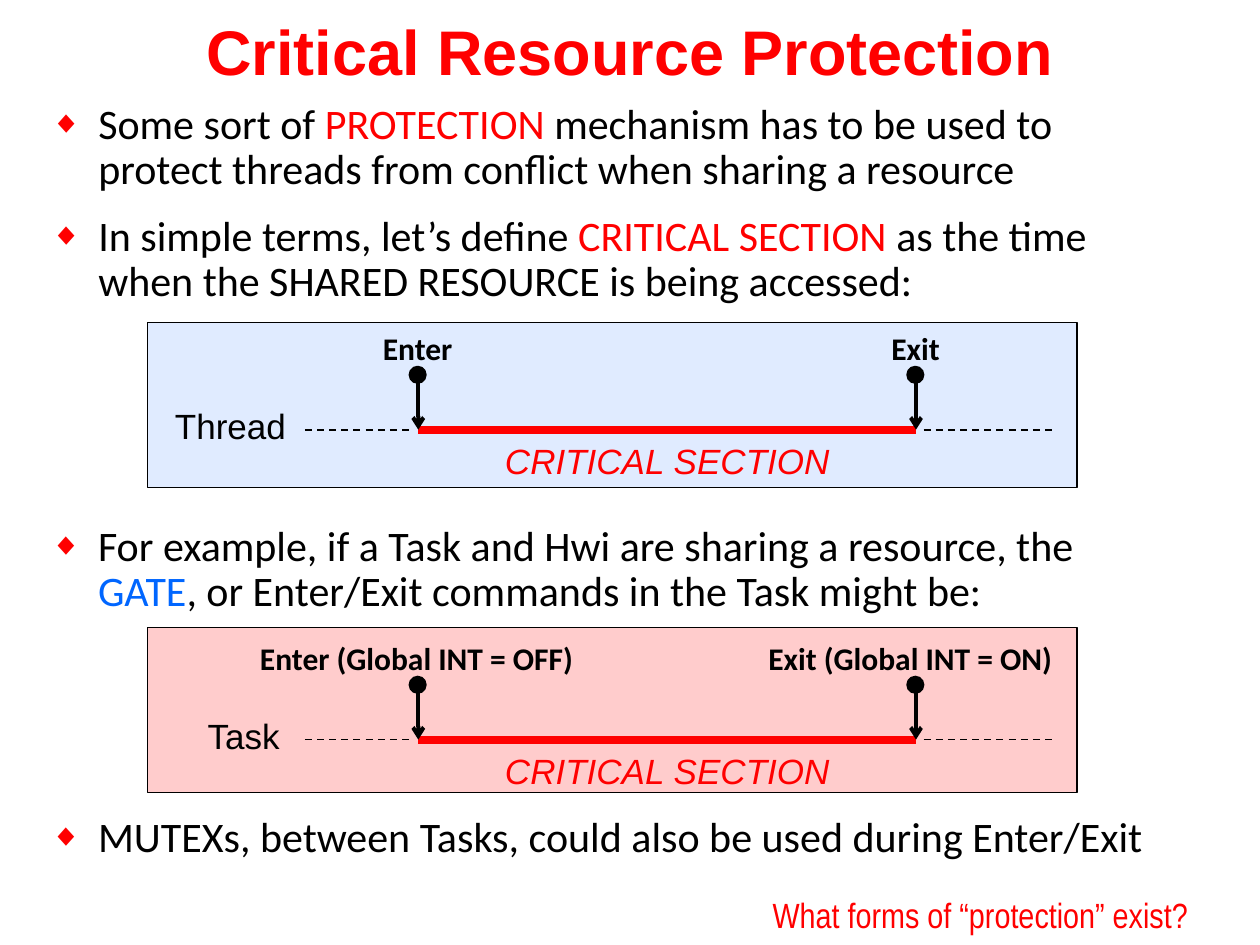
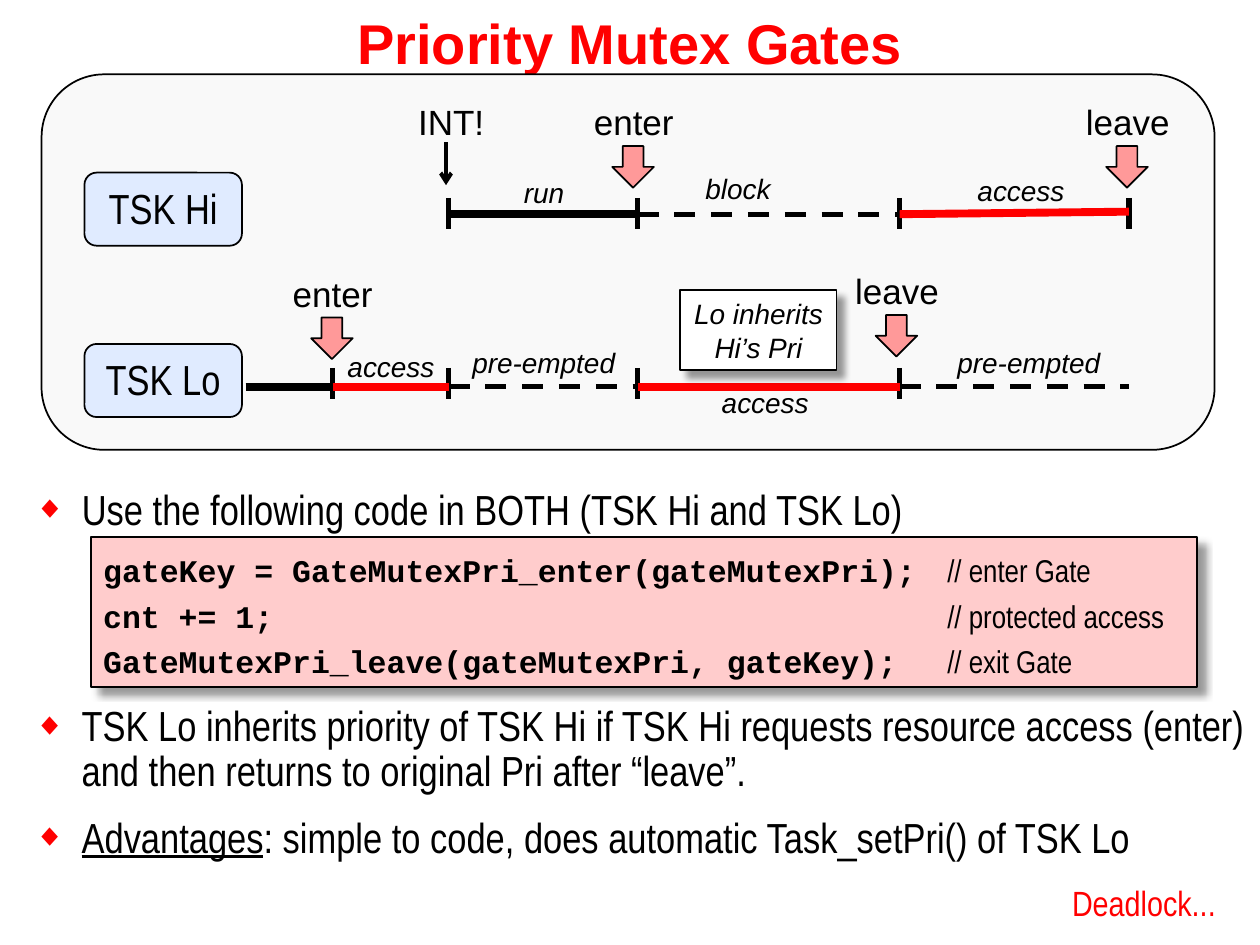
from typing import NamedTuple

from lxml.etree import SubElement
from pptx import Presentation
from pptx.dml.color import RGBColor
from pptx.enum.dml import MSO_LINE
from pptx.enum.shapes import MSO_CONNECTOR, MSO_SHAPE
from pptx.enum.text import MSO_ANCHOR, MSO_AUTO_SIZE as AutoSize, PP_ALIGN
from pptx.oxml.ns import qn
from pptx.util import Inches, Pt

BLACK = RGBColor(0x00, 0x00, 0x00)
WHITE = RGBColor(0xFF, 0xFF, 0xFF)
RED = RGBColor(0xFF, 0x00, 0x00)
BLUE = RGBColor(0x00, 0x66, 0xFF)
PALE_BLUE = RGBColor(0xE0, 0xEB, 0xFF)
PALE_RED = RGBColor(0xFF, 0xCC, 0xCC)
PINK = RGBColor(0xFF, 0x99, 0x99)
PALE_GREY = RGBColor(0xF9, 0xF9, 0xF9)

SANS, NARROW, HUMANIST, MONO = "Arial", "Arial Narrow", "Calibri", "Courier New"


class Box(NamedTuple):
    left: float
    top: float
    width: float
    height: float


class Span(NamedTuple):
    text: str
    color: RGBColor = BLACK
    underline: bool = False


class Style(NamedTuple):
    font: str
    size: int
    color: RGBColor = BLACK
    bold: bool = False
    italic: bool = False


class SectionPanel(NamedTuple):
    top: float
    axis: float
    fill: RGBColor
    actor: str
    actor_left: float
    actor_width: float
    enter: str
    enter_width: float
    exit: str
    exit_width: float


class Segment(NamedTuple):
    start: float
    end: float
    y: float
    color: RGBColor = BLACK
    dashed: bool = False
    rise: float = 0


class Caption(NamedTuple):
    text: str
    left: float
    top: float
    width: float


class Gate(NamedTuple):
    text: str
    center: float
    top: float


PLAIN = Style(SANS, 20)
SECTION = Style(SANS, 20, RED, italic=True)
EVENT = Style(HUMANIST, 18, bold=True)
NOTE = Style(SANS, 16, italic=True)
TASK = Style(NARROW, 24)
FOOTER = Style(NARROW, 20, RED)
CODE = Style(MONO, 18, bold=True)

ENTER_X, EXIT_X = 3.32, 7.27
PANELS = [
    SectionPanel(2.56, 3.41, PALE_BLUE, "Thread", 1.29, 1.09, "Enter", 0.76, "Exit", 0.59),
    SectionPanel(4.98, 5.87, PALE_RED, "Task", 1.55, 0.78,
                 "Enter (Global INT = OFF)", 2.71, "Exit (Global INT = ON)", 2.54),
]

LO_START, LO_ENTER, PREEMPT, HI_ENTER, LO_LEAVE, HI_LEAVE = 1.95, 2.64, 3.56, 5.06, 7.14, 8.96
HI_Y, LO_Y = 1.7, 3.07
SEGMENTS = [
    Segment(PREEMPT, HI_ENTER, HI_Y),
    Segment(HI_ENTER, LO_LEAVE, HI_Y, dashed=True),
    Segment(LO_LEAVE, HI_LEAVE, HI_Y, RED, rise=0.02),
    Segment(LO_START, PREEMPT, LO_Y),
    Segment(LO_ENTER, PREEMPT, LO_Y, RED),
    Segment(PREEMPT, HI_ENTER, LO_Y, dashed=True),
    Segment(HI_ENTER, LO_LEAVE, LO_Y, RED),
    Segment(LO_LEAVE, HI_LEAVE, LO_Y, dashed=True),
]
TICKS = {
    HI_Y - 0.13: [PREEMPT, HI_ENTER, LO_LEAVE, HI_LEAVE],
    LO_Y - 0.15: [LO_ENTER, PREEMPT, HI_ENTER, LO_LEAVE],
}
GATES = [
    Gate("enter", 5.03, 0.75),
    Gate("leave", 8.95, 0.75),
    Gate("enter", 2.64, 2.11),
    Gate("leave", 7.12, 2.09),
]
CAPTIONS = [
    Caption("run", 4.06, 1.34, 0.53),
    Caption("block", 5.5, 1.31, 0.72),
    Caption("access", 7.66, 1.33, 0.9),
    Caption("access", 2.66, 2.72, 0.9),
    Caption("pre-empted", 3.65, 2.69, 1.35),
    Caption("access", 5.63, 3.01, 0.9),
    Caption("pre-empted", 7.5, 2.69, 1.35),
]
CODE_LINES = [
    ("gateKey = GateMutexPri_enter(gateMutexPri);", "// enter Gate"),
    ("cnt += 1;", "// protected access"),
    ("GateMutexPri_leave(gateMutexPri, gateKey);", "// exit Gate"),
]


def set_font(font, style: Style) -> None:
    font.name, font.size = style.font, Pt(style.size)
    font.bold, font.italic = style.bold, style.italic
    font.color.rgb = style.color


def place(s, box: Box) -> None:
    s.left, s.top, s.width, s.height = (Inches(v) for v in box)


def write(s, lines: list[str], style: Style, align=PP_ALIGN.LEFT, spacing: float = 1.0):
    tf = s.text_frame
    tf.vertical_anchor = MSO_ANCHOR.MIDDLE
    for i, line in enumerate(lines):
        p = tf.add_paragraph() if i else tf.paragraphs[0]
        p.text, p.alignment, p.line_spacing = line, align, spacing
        set_font(p.font, style)
    return tf


def add_textbox(slide, box: Box):
    s = slide.shapes.add_textbox(*(Inches(v) for v in box))
    s.text_frame.auto_size = AutoSize.SHAPE_TO_FIT_TEXT
    s.text_frame.word_wrap = False
    return s


def label(slide, text: str, left: float, top: float, width: float, style: Style,
          align=PP_ALIGN.LEFT) -> None:
    height = 0.1 + style.size / 60
    write(add_textbox(slide, Box(left, top, width, height)), [text], style, align)


def add_shape(slide, kind, box: Box, fill: RGBColor, shadow: bool = False):
    s = slide.shapes.add_shape(kind, *(Inches(v) for v in box))
    s.shadow.inherit = False
    s.fill.solid()
    s.fill.fore_color.rgb = fill
    s.line.color.rgb, s.line.width = BLACK, Pt(1)
    if shadow:
        effects = s._element.spPr.find(qn("a:effectLst"))
        outer = SubElement(effects, qn("a:outerShdw"), blurRad=str(Pt(4)), dist=str(Pt(6)),
                           dir="2700000", algn="tl", rotWithShape="0")
        color = SubElement(outer, qn("a:srgbClr"), val=str(BLACK))
        SubElement(color, qn("a:alpha"), val="40000")
    return s


def add_line(slide, x1: float, y1: float, x2: float, y2: float, width: float,
             color: RGBColor = BLACK, dashed: bool = False, arrow: bool = False) -> None:
    s = slide.shapes.add_connector(MSO_CONNECTOR.STRAIGHT, *(Inches(v) for v in (x1, y1, x2, y2)))
    s.line.color.rgb, s.line.width = color, Pt(width)
    if dashed:
        s.line.dash_style = MSO_LINE.DASH
    sp = s._element.spPr
    if arrow:
        SubElement(sp.find(qn("a:ln")), qn("a:tailEnd"), type="arrow")
    SubElement(sp, qn("a:effectLst"))


def bullet_list(s, items: list[list[Span]], font: str, spacing: float = 0.9,
                wrap: bool = False, anchor=MSO_ANCHOR.TOP) -> None:
    """Fill a placeholder or text box with red-diamond bullets."""
    tf = s.text_frame
    tf.word_wrap, tf.auto_size, tf.vertical_anchor = wrap, AutoSize.SHAPE_TO_FIT_TEXT, anchor
    for i, spans in enumerate(items):
        p = tf.add_paragraph() if i else tf.paragraphs[0]
        pr = p._p.get_or_add_pPr()
        pr.set("marL", str(Inches(0.38)))
        pr.set("indent", str(-Inches(0.38)))
        SubElement(SubElement(pr, qn("a:buClr")), qn("a:srgbClr"), val=str(RED))
        SubElement(pr, qn("a:buSzPct"), val="75000")
        SubElement(pr, qn("a:buFont"), typeface=SANS)
        SubElement(pr, qn("a:buChar"), char="◆")
        p.line_spacing, p.space_before = spacing, Pt(12 if i else 0)
        p.font.name, p.font.size = font, Pt(24)
        for span in spans:
            for n, part in enumerate(span.text.split("\n")):
                if n:
                    p.add_line_break()
                if part:
                    r = p.add_run()
                    r.text, r.font.color.rgb = part, span.color
                    if span.underline:
                        r.font.underline = True


def start_slide(prs, title: str, top: float, size: int, body: Box, footer: str, footer_box: Box):
    """Add a slide with title and footer; return it with its placed body."""
    slide = prs.slides.add_slide(prs.slide_layouts[1])
    s = slide.shapes.title
    place(s, Box(0, top, 10, 0.81))
    tf = write(s, [title], Style(SANS, size, RED, bold=True), PP_ALIGN.CENTER)
    tf.word_wrap, tf.vertical_anchor, tf.margin_top = False, MSO_ANCHOR.TOP, Inches(0.1)
    place(slide.placeholders[1], body)
    tf = write(add_textbox(slide, footer_box), [footer], FOOTER, PP_ALIGN.RIGHT, 0.8)
    tf.margin_left = tf.margin_right = tf.margin_top = tf.margin_bottom = 0
    tf.vertical_anchor = MSO_ANCHOR.BOTTOM
    return slide, slide.placeholders[1]


def section_panel(slide, panel: SectionPanel) -> None:
    y = panel.axis
    add_shape(slide, MSO_SHAPE.RECTANGLE, Box(1.17, panel.top, 7.38, 1.31), panel.fill)
    add_line(slide, 2.42, y, 3.25, y, 1, dashed=True)
    add_line(slide, ENTER_X, y, EXIT_X, y, 4.5, RED)
    add_line(slide, 7.33, y, 8.37, y, 1, dashed=True)
    label(slide, panel.actor, panel.actor_left, y - 0.25, panel.actor_width, PLAIN)
    label(slide, "CRITICAL SECTION", 3.91, y + 0.03, 2.83, SECTION)
    for x, text, width in ((ENTER_X, panel.enter, panel.enter_width),
                           (EXIT_X, panel.exit, panel.exit_width)):
        add_shape(slide, MSO_SHAPE.OVAL, Box(x - 0.07, y - 0.5, 0.13, 0.13), BLACK)
        add_line(slide, x, y - 0.48, x, y, 2.25, arrow=True)
        label(slide, text, x - width / 2, y - 0.85, width, EVENT)


def timeline(slide) -> None:
    add_shape(slide, MSO_SHAPE.ROUNDED_RECTANGLE, Box(0.33, 0.59, 9.31, 2.98), PALE_GREY)
    for name, top in (("TSK Hi", 1.37), ("TSK Lo", 2.73)):
        s = add_shape(slide, MSO_SHAPE.ROUNDED_RECTANGLE, Box(0.67, top, 1.25, 0.58), PALE_BLUE)
        write(s, [name], TASK, PP_ALIGN.CENTER, 0.8).margin_top = Inches(0.1)
    for top, marks in TICKS.items():
        for x in marks:
            add_line(slide, x, top, x, top + 0.25, 3)
    for seg in SEGMENTS:
        add_line(slide, seg.start, seg.y, seg.end, seg.y - seg.rise,
                 3 if seg.dashed else 4.5, seg.color, seg.dashed)
    for gate in GATES:
        x = gate.center
        add_shape(slide, MSO_SHAPE.DOWN_ARROW, Box(x - 0.17, gate.top + 0.41, 0.33, 0.33), PINK)
        label(slide, gate.text, x - 0.46, gate.top, 0.92, PLAIN, PP_ALIGN.CENTER)
    label(slide, "INT!", 3.22, 0.75, 0.73, PLAIN)
    add_line(slide, 3.54, 1.13, 3.54, 1.47, 2.25, arrow=True)
    for c in CAPTIONS:
        label(slide, c.text, c.left, c.top, c.width, NOTE)
    s = add_shape(slide, MSO_SHAPE.RECTANGLE, Box(5.4, 2.3, 1.24, 0.64), WHITE, shadow=True)
    write(s, ["Lo inherits", "Hi’s Pri"], NOTE, PP_ALIGN.CENTER).word_wrap = False


def code_box(slide) -> None:
    s = add_shape(slide, MSO_SHAPE.RECTANGLE, Box(0.72, 4.26, 8.78, 1.19), PALE_RED, shadow=True)
    tf = write(s, [code for code, _ in CODE_LINES], CODE, spacing=1.2)
    for p, (_, comment) in zip(tf.paragraphs, CODE_LINES):
        tabs = p._p.pPr.makeelement(qn("a:tabLst"))
        SubElement(tabs, qn("a:tab"), pos=str(Inches(6.7)), algn="l")
        p._p.pPr.find(qn("a:defRPr")).addprevious(tabs)
        r = p.add_run()
        r.text, r.font.name, r.font.bold = "\t" + comment, NARROW, False


def protection_slide(prs) -> None:
    slide, body = start_slide(prs, "Critical Resource Protection", 0, 36, Box(0.3, 0.77, 8.5, 1.76),
                              "What forms of “protection” exist?", Box(6.11, 7.15, 3.32, 0.27))
    bullet_list(body, [
        [Span("Some sort of "), Span("PROTECTION ", RED),
         Span("mechanism has to be used to\nprotect threads from conflict when sharing a resource")],
        [Span("In simple terms, let’s define "), Span("CRITICAL SECTION", RED),
         Span(" as the time\nwhen the SHARED RESOURCE is being accessed:")],
    ], HUMANIST)
    bullet_list(add_textbox(slide, Box(0.3, 4.12, 8.4, 0.83)), [
        [Span("For example, if a Task and Hwi are sharing a resource, the\n"), Span("GATE", BLUE),
         Span(", or Enter/Exit commands in the Task might be:")]], HUMANIST)
    bullet_list(add_textbox(slide, Box(0.3, 6.43, 8.95, 0.46)), [
        [Span("MUTEXs, between Tasks, could also be used during Enter/Exit")]], HUMANIST)
    for panel in PANELS:
        section_panel(slide, panel)


def mutex_slide(prs) -> None:
    slide, body = start_slide(prs, "Priority Mutex Gates", -0.03, 32, Box(0.17, 3.73, 7.18, 0.54),
                              "Deadlock...", Box(8.5, 7.06, 1.15, 0.27))
    bullet_list(body, [[Span("Use the following code in BOTH (TSK Hi and TSK Lo)")]],
                NARROW, 1.2, anchor=MSO_ANCHOR.MIDDLE)
    timeline(slide)
    code_box(slide)
    bullet_list(add_textbox(slide, Box(0.17, 5.54, 9.83, 1.36)), [
        [Span("TSK Lo inherits priority of TSK Hi if TSK Hi requests resource access (enter) "
              "and then returns to original Pri after “leave”.")],
        [Span("Advantages", underline=True),
         Span(": simple to code, does automatic Task_setPri() of TSK Lo")],
    ], NARROW, wrap=True, anchor=MSO_ANCHOR.MIDDLE)


def main() -> None:
    prs = Presentation()
    prs.slide_width, prs.slide_height = Inches(10), Inches(7.5)
    protection_slide(prs)
    mutex_slide(prs)
    prs.save("out.pptx")


if __name__ == "__main__":
    main()
